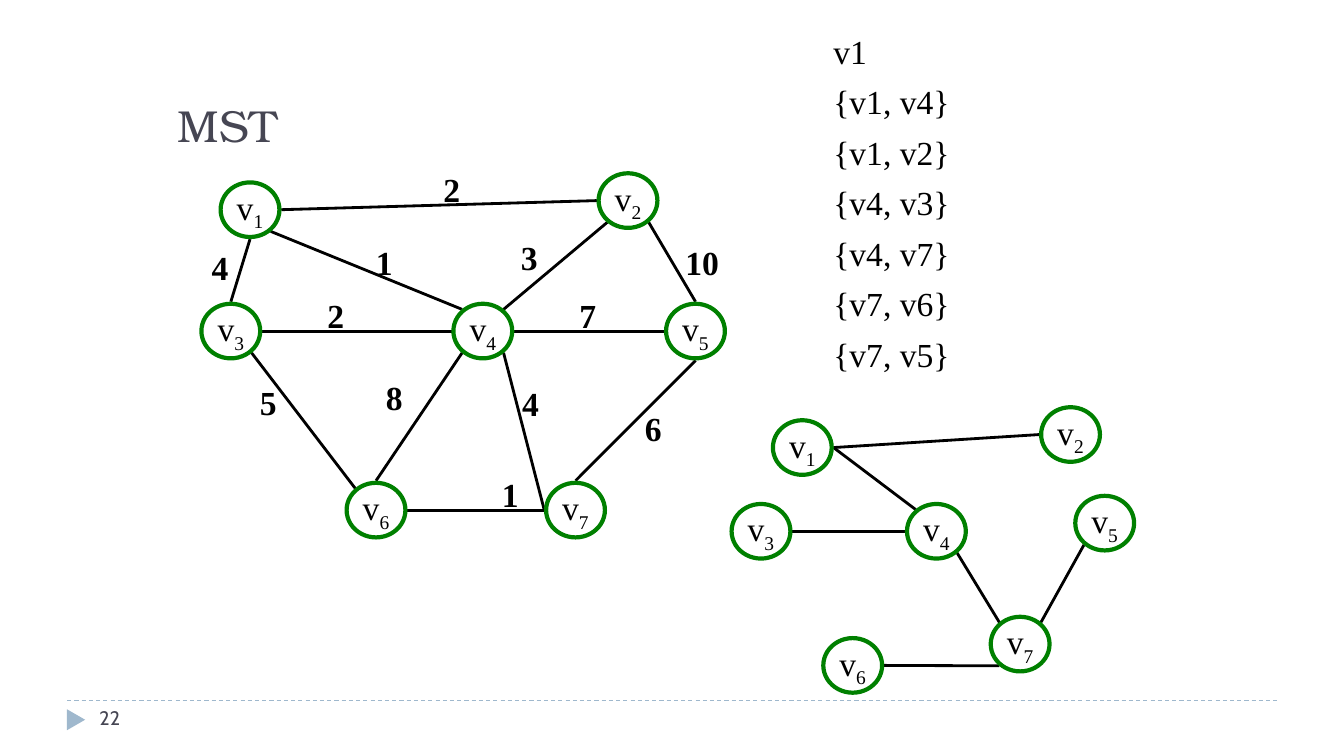
from lxml import etree
from pptx import Presentation
from pptx.dml.color import RGBColor
from pptx.enum import dml, shapes, text
from pptx.oxml import ns
from pptx.util import Pt

BLACK = RGBColor(0x00, 0x00, 0x00)
GREEN = RGBColor(0x00, 0x80, 0x00)
SLATE = RGBColor(0x46, 0x46, 0x53)
PALE_BLUE = RGBColor(0x9F, 0xB8, 0xCD)
SERIF = "Times New Roman"

TITLE = "MST"
PAGE = "22"
STEPS = ["v1", "{v1, v4}", "{v1, v2}", "{v4, v3}", "{v4, v7}", "{v7, v6}", "{v7, v5}"]

GRAPH_NODES = {
    1: (178.6, 149.8), 2: (448.6, 143.3), 3: (164.9, 236.5), 4: (344.9, 236.5),
    5: (496.8, 236.5), 6: (268.6, 364.4), 7: (411.1, 364.4),
}
GRAPH_EDGES = [
    (1, "br", 4, "tl", "1", 261.4, 169.2),
    (4, "br", 7, "l", "4", 365.8, 270),
    (4, "r", 5, "l", "7", 406.8, 207.4),
    (6, "r", 7, "l", "1", 351.4, 334.8),
    (1, "b", 3, "t", "4", 144, 172.8),
    (3, "br", 6, "tl", "5", 178.6, 269.3),
    (4, "bl", 6, "t", "8", 268.6, 265.7),
    (5, "t", 2, "br", "10", 482.4, 169.2),
    (3, "r", 4, "l", "2", 226.8, 207.4),
    (2, "l", 1, "r", "2", 309.6, 117.4),
    (4, "tr", 2, "bl", "3", 365, 165.6),
    (7, "t", 5, "b", "6", 453.6, 288),
]
TREE_NODES = {
    1: (573.1, 319.7), 2: (764.7, 310.4), 3: (543.6, 379.5), 4: (668.9, 379.5),
    5: (789.1, 373.7), 6: (609.1, 475.3), 7: (728.7, 460.1),
}
TREE_EDGES = [
    (1, "r", 4, "tl"), (2, "l", 1, "r"), (3, "r", 4, "l"),
    (4, "br", 7, "tl"), (7, "tr", 5, "bl"), (6, "r", 7, "bl"),
]

NODE_W, NODE_H = 42, 39
SIDE_X, SIDE_Y = 22.3, 21
DIAG_X, DIAG_Y = 14.8, 15.5
STEP_X = {"l": -1, "r": 1}
STEP_Y = {"t": -1, "b": 1}

prs = Presentation()
prs.slide_width, prs.slide_height = Pt(960), Pt(540)
slide = prs.slides.add_slide(prs.slide_layouts[6])


def style(paragraph, size, color=BLACK, name=SERIF, bold=False):
    font = paragraph.font
    font.size, font.name, font.bold = Pt(size), name, bold
    font.color.rgb = color


def add_text(lines, left, top, width, height, wrap=True, **look):
    frame = slide.shapes.add_textbox(Pt(left), Pt(top), Pt(width), Pt(height)).text_frame
    frame.word_wrap = wrap
    frame.text = "\n".join(lines)
    for paragraph in frame.paragraphs:
        style(paragraph, **look)
    return frame


def add_line(start, end, color=BLACK, width=2):
    line = slide.shapes.add_connector(
        shapes.MSO_CONNECTOR.STRAIGHT, *(Pt(v) for v in (*start, *end)))
    line.line.color.rgb = color
    line.line.width = Pt(width)
    etree.SubElement(line._element.spPr, ns.qn("a:effectLst"))
    return line


def port(center, side):
    x, y = center
    reach_x, reach_y = (DIAG_X, DIAG_Y) if len(side) == 2 else (SIDE_X, SIDE_Y)
    return (x + reach_x * STEP_X.get(side[-1], 0), y + reach_y * STEP_Y.get(side[0], 0))


def add_node(number, center):
    x, y = center
    node = slide.shapes.add_shape(
        shapes.MSO_SHAPE.OVAL, Pt(x - NODE_W / 2), Pt(y - NODE_H / 2), Pt(NODE_W), Pt(NODE_H))
    node.shadow.inherit = False
    node.fill.background()
    node.line.color.rgb = GREEN
    node.line.width = Pt(3)
    frame = node.text_frame
    frame.word_wrap = False
    frame.vertical_anchor = text.MSO_ANCHOR.MIDDLE
    label = frame.paragraphs[0]
    label.alignment = text.PP_ALIGN.CENTER
    style(label, 24)
    label.add_run().text = "v"
    subscript = label.add_run()
    subscript.text = str(number)
    subscript.font._element.set("baseline", "-25000")


def add_graph(nodes, edges):
    for start, start_side, end, end_side, *weight in edges:
        add_line(port(nodes[start], start_side), port(nodes[end], end_side))
    for number, center in nodes.items():
        add_node(number, center)
    for *_, weight, left, top in (edge for edge in edges if len(edge) > 4):
        add_text([weight], left, top, 14.4 + 12 * len(weight), 36, wrap=False, size=24, bold=True)


footer_rule = add_line((48, 500.4), (912, 500.4), PALE_BLUE, 0.75)
footer_rule.line.dash_style = dml.MSO_LINE.DASH
footer_marker = slide.shapes.add_shape(
    shapes.MSO_SHAPE.ISOSCELES_TRIANGLE, Pt(46.8), Pt(507.6), Pt(15), Pt(13))
footer_marker.rotation = 90
footer_marker.shadow.inherit = False
footer_marker.fill.solid()
footer_marker.fill.fore_color.rgb = PALE_BLUE
footer_marker.line.fill.background()
add_text([PAGE], 64, 500.4, 208, 29, size=14, color=SLATE, name="Cabin")

heading = add_text([TITLE], 120, 21.6, 648, 90, size=32, color=SLATE, name="TeX Gyre Bonum")
heading.vertical_anchor = text.MSO_ANCHOR.BOTTOM

add_graph(GRAPH_NODES, GRAPH_EDGES)
add_graph(TREE_NODES, TREE_EDGES)

steps = add_text(STEPS, 588.2, 24, 216, 257, size=24)
for position, step in enumerate(steps.paragraphs):
    step.line_spacing = 0.8
    if position:
        step.space_before = Pt(13)

prs.save("out.pptx")
